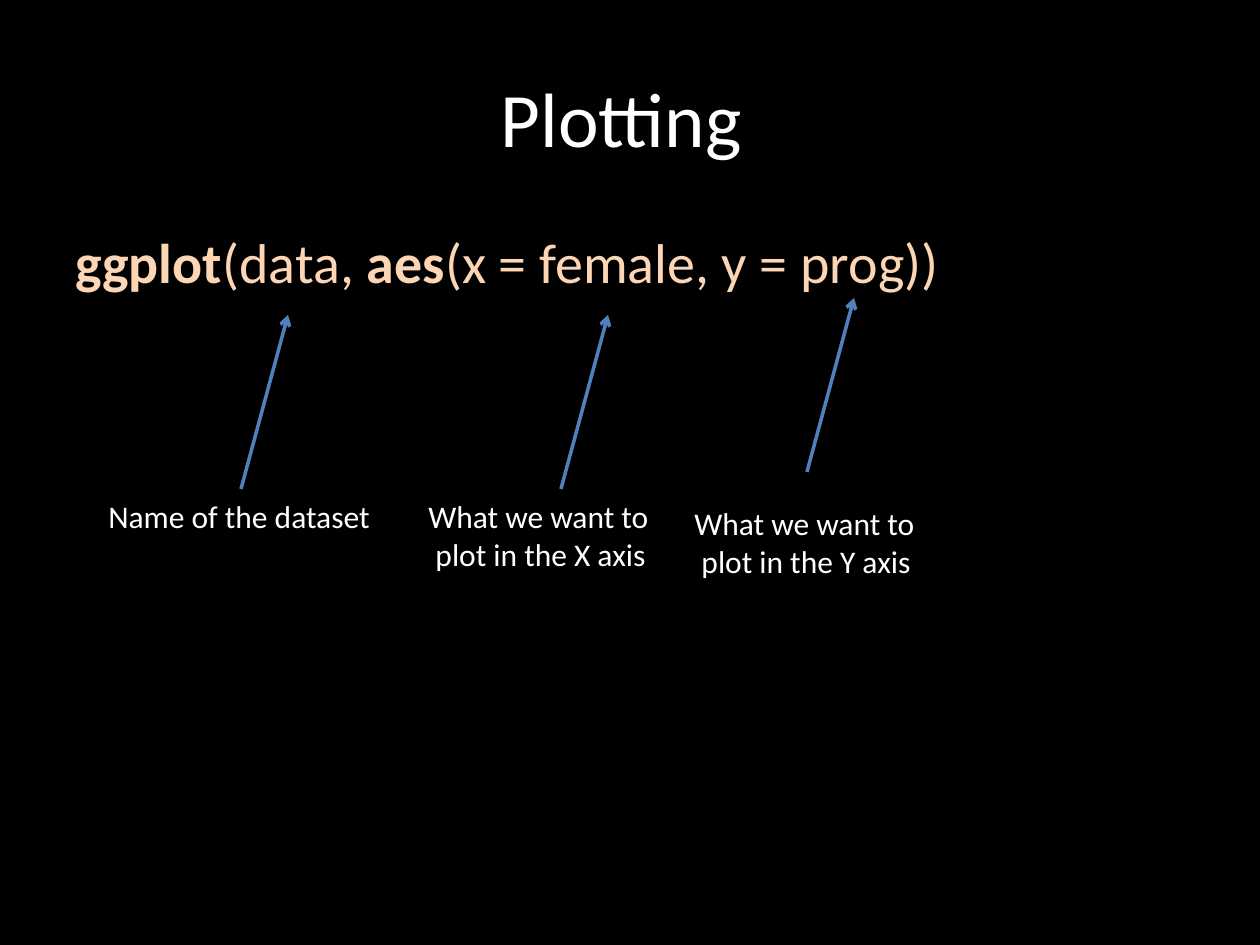
from lxml import etree
from pptx import Presentation
from pptx.dml.color import RGBColor
from pptx.enum.shapes import MSO_CONNECTOR
from pptx.enum.text import MSO_ANCHOR, PP_ALIGN
from pptx.oxml.ns import qn
from pptx.util import Emu, Pt

SCALE = 914400 // 126
STRAIGHT = MSO_CONNECTOR.STRAIGHT
TOP, MIDDLE = MSO_ANCHOR.TOP, MSO_ANCHOR.MIDDLE
LEFT, CENTER = PP_ALIGN.LEFT, PP_ALIGN.CENTER
WHITE, PEACH, BLUE, BLACK = "FFFFFF", "FCD5B5", "4F81BD", "000000"


def px(n):
    return Emu(n * SCALE)


def color(code):
    return RGBColor.from_string(code)


def apply(target, values):
    for name, value in values.items():
        setattr(target, name, value)


def add_text(slide, box, lines, size, code, wrap=True, anchor=TOP, align=LEFT):
    frame = slide.shapes.add_textbox(*map(px, box)).text_frame
    apply(frame, {"word_wrap": wrap, "vertical_anchor": anchor})
    for i, line in enumerate(lines):
        para = frame.paragraphs[0] if i == 0 else frame.add_paragraph()
        para.alignment = align
        for text, bold in line:
            run = para.add_run()
            run.text = text
            apply(run.font, {"name": "Calibri", "size": Pt(size), "bold": bold})
            run.font.color.rgb = color(code)


def add_arrow(slide, start, end):
    arrow = slide.shapes.add_connector(STRAIGHT, *map(px, start + end))
    arrow.line.width = Pt(2)
    arrow.line.color.rgb = color(BLUE)
    etree.SubElement(arrow.line._get_or_add_ln(), qn("a:tailEnd"), type="arrow")
    etree.SubElement(arrow._element.spPr, qn("a:effectLst"))


def main():
    deck = Presentation()
    apply(deck, {"slide_width": px(1260), "slide_height": px(945)})
    slide = deck.slides.add_slide(deck.slide_layouts[6])
    fill = slide.background.fill
    fill.solid()
    fill.fore_color.rgb = color(BLACK)

    add_text(slide, (63, 38, 1134, 157), [[("Plotting ", False)]], 44, WHITE,
             anchor=MIDDLE, align=CENTER)
    code = [("ggplot", True), ("(data, ", False), ("aes", True),
            ("(x = female, y = prog))", False)]
    add_text(slide, (63, 221, 1134, 624), [code], 32, PEACH)

    for x, y in ((241, 489), (561, 489), (807, 472)):
        add_arrow(slide, (x, y), (x + 47, y - 174))

    notes = (
        ((96, 491, 291, 50), ["Name of the dataset"]),
        ((416, 491, 249, 89), ["What we want to", " plot in the X axis"]),
        ((682, 498, 249, 89), ["What we want to", " plot in the Y axis"]),
    )
    for box, lines in notes:
        add_text(slide, box, [[(line, False)] for line in lines], 18, WHITE,
                 wrap=False)
    deck.save("out.pptx")


main()
